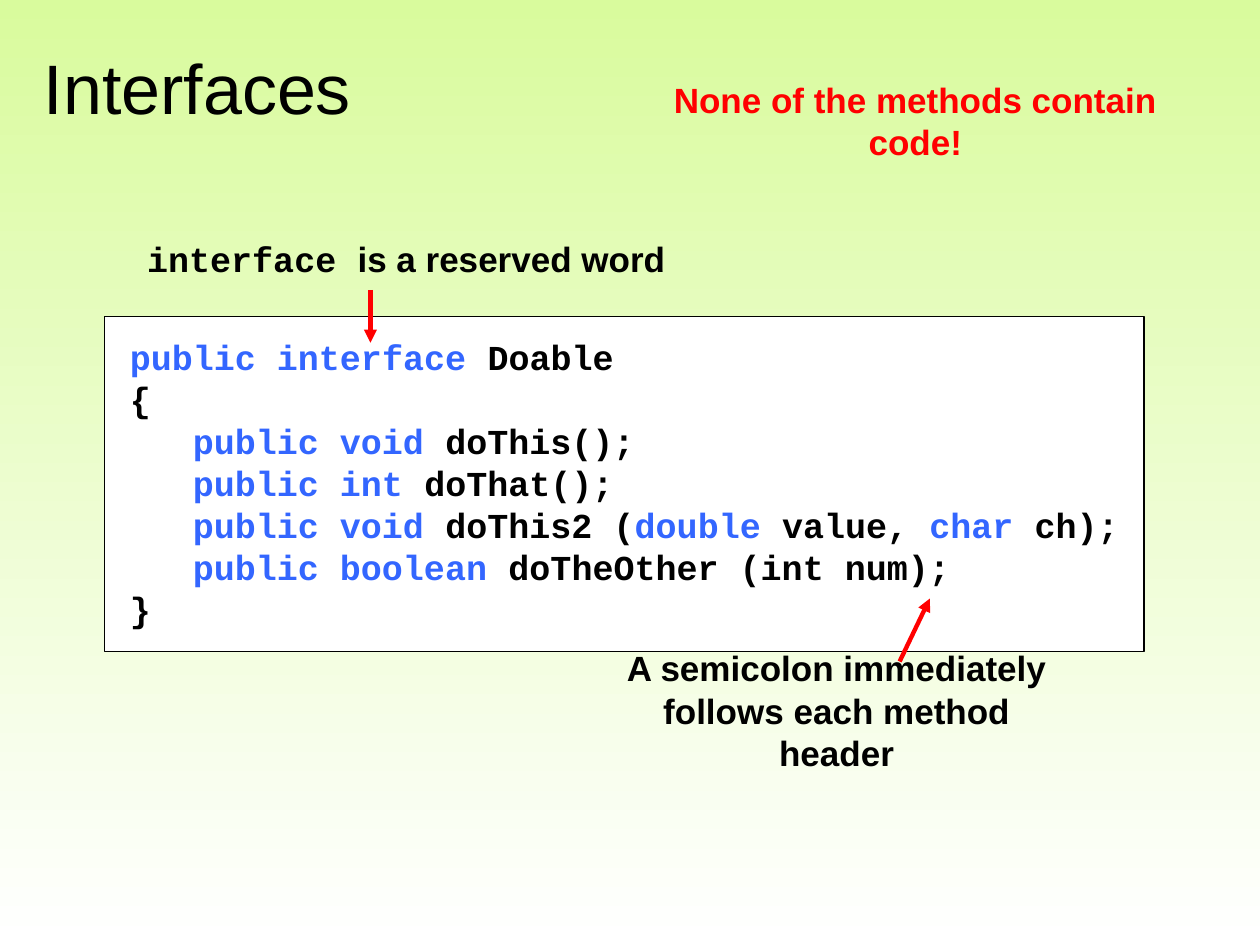
"""Build a slide that explains the parts of a Java interface."""
from lxml.etree import SubElement
from pptx import Presentation
from pptx.dml.color import RGBColor
from pptx.enum.shapes import MSO_CONNECTOR as Connector, MSO_SHAPE as Shape
from pptx.enum.text import MSO_ANCHOR as Anchor, PP_ALIGN as Align
from pptx.oxml.ns import qn
from pptx.util import Inches, Pt

BLACK = RGBColor(0x00, 0x00, 0x00)
WHITE = RGBColor(0xFF, 0xFF, 0xFF)
RED = RGBColor(0xFF, 0x00, 0x00)
BLUE = RGBColor(0x33, 0x66, 0xFF)
LIME = RGBColor(0xD9, 0xFB, 0x9D)
SANS, MONO = "Arial", "Courier New"
INDENT = "\t"
CODE = [
    "|public interface |Doable",
    "{",
    "\t|public void |doThis();",
    "\t|public int |doThat();",
    "\t|public void |doThis2 (|double |value, |char |ch);",
    "\t|public boolean |doTheOther (int num);",
    "}",
]


def write_text(shape, lines, font=SANS, size=20, color=BLACK, bold=True,
               marked_font=None, marked_color=None, align=Align.LEFT,
               anchor=Anchor.MIDDLE, inset=(0.05, 0.05)):
    """Write lines, giving the parts between bars the marked format."""
    frame = shape.text_frame
    frame.word_wrap = True
    frame.vertical_anchor = anchor
    frame.margin_left = frame.margin_right = Inches(inset[0])
    frame.margin_top = frame.margin_bottom = Inches(inset[1])
    for number, line in enumerate(lines):
        para = frame.add_paragraph() if number else frame.paragraphs[0]
        para.alignment = align
        if line.startswith(INDENT):
            para._p.get_or_add_pPr().set("marL", str(Inches(0.5)))
        for index, part in enumerate(line.lstrip(INDENT).split("|")):
            if not part:
                continue
            marked = index % 2 == 1
            span = para.add_run()
            span.text = part
            span.font.name = marked_font if marked and marked_font else font
            span.font.size = Pt(size)
            span.font.bold = bold
            span.font.color.rgb = marked_color if marked and marked_color else color


def add_label(page, place, lines, **style):
    """Add a text box at a place given in inches."""
    box = page.shapes.add_textbox(*map(Inches, place))
    write_text(box, lines, **style)


def add_code_panel(page, place, lines):
    """Add a white outlined panel with highlighted code."""
    panel = page.shapes.add_shape(Shape.RECTANGLE, *map(Inches, place))
    panel.shadow.inherit = False
    panel.fill.solid()
    panel.fill.fore_color.rgb = WHITE
    panel.line.color.rgb = BLACK
    panel.line.width = Pt(0.75)
    write_text(panel, lines, font=MONO, marked_color=BLUE,
               anchor=Anchor.TOP, inset=(0.2, 0.15))


def add_arrow(page, start, end):
    """Add a red arrow between two points given in inches."""
    arrow = page.shapes.add_connector(Connector.STRAIGHT, *map(Inches, start + end))
    arrow.line.color.rgb = RED
    arrow.line.width = Pt(2.5)
    SubElement(arrow.line._get_or_add_ln(), qn("a:tailEnd"), type="triangle")
    SubElement(arrow._element.spPr, qn("a:effectLst"))


def paint_background(page):
    """Fill the page with a gradient from lime at the top to white."""
    fill = page.background.fill
    fill.gradient()
    fill.gradient_angle = 270
    for stop, color, position in zip(fill.gradient_stops, (LIME, WHITE), (0, 1)):
        stop.color.rgb = color
        stop.position = position


def main():
    """Build and save the deck."""
    deck = Presentation()
    deck.slide_width, deck.slide_height = Inches(10), Inches(7.5)
    page = deck.slides.add_slide(deck.slide_layouts[6])
    paint_background(page)
    add_label(page, (0.25, 0.3, 9.5, 0.78), ["Interfaces"],
              size=40, bold=False, inset=(0.1, 0.05))
    add_code_panel(page, (0.83, 2.51, 8.25, 2.66), CODE)
    add_label(page, (4.67, 5.25, 3.94, 0.77),
              ["A semicolon immediately", "follows each method header"],
              align=Align.CENTER, inset=(0.2, 0.05))
    add_arrow(page, (7.14, 5.25), (7.38, 4.75))
    add_label(page, (5.23, 0.57, 4.07, 0.77),
              ["None of the methods contain", "code!"],
              color=RED, align=Align.CENTER)
    add_arrow(page, (2.94, 2.3), (2.94, 2.72))
    add_label(page, (1.05, 1.83, 4.35, 0.44),
              ["|interface |is a reserved word"],
              marked_font=MONO, align=Align.CENTER)
    deck.save("out.pptx")


if __name__ == "__main__":
    main()
